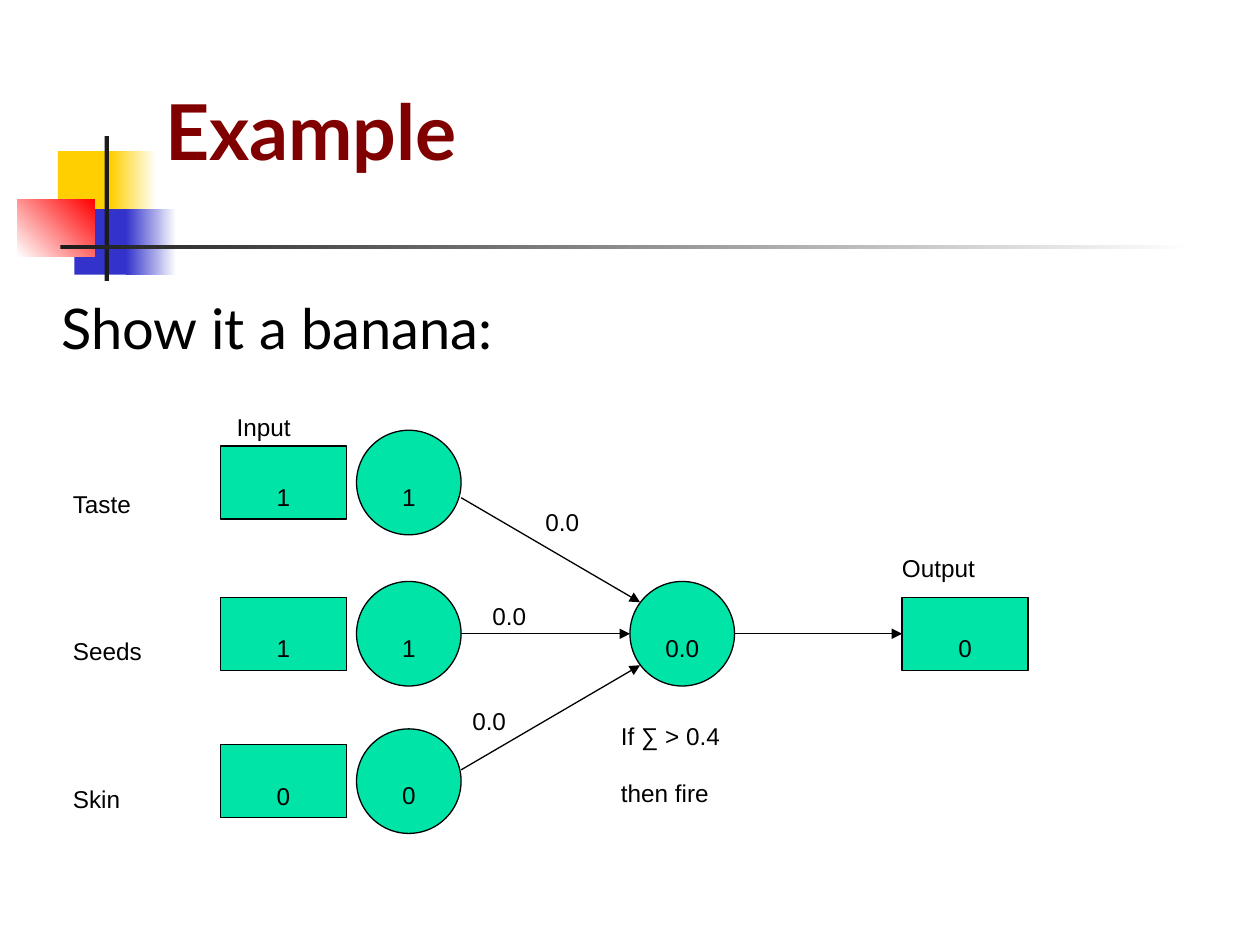
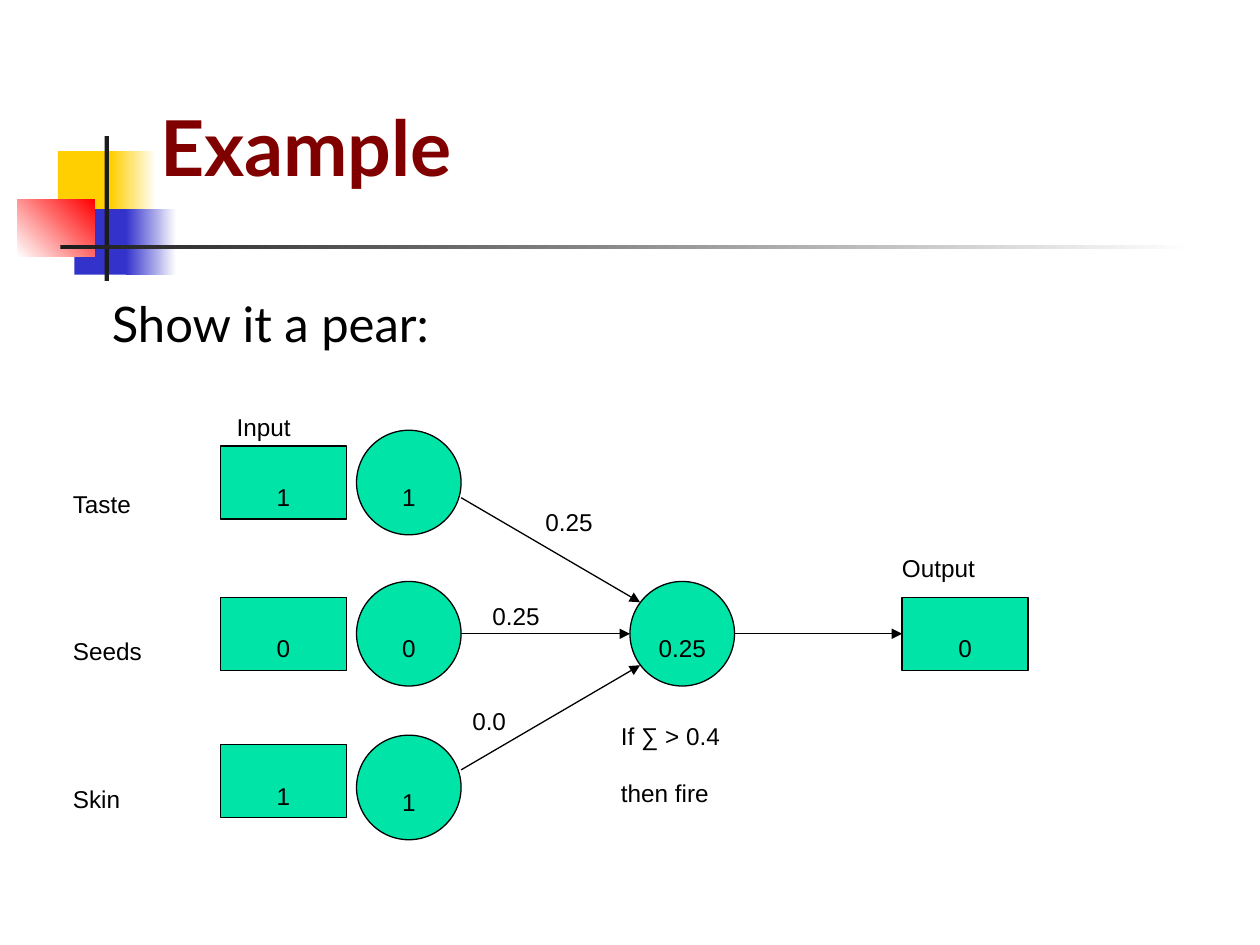
from dataclasses import dataclass

from lxml import etree
from pptx import Presentation
from pptx.dml.color import RGBColor
from pptx.enum.shapes import MSO_CONNECTOR, MSO_SHAPE
from pptx.enum.text import MSO_ANCHOR, MSO_AUTO_SIZE, PP_ALIGN
from pptx.oxml.ns import qn
from pptx.util import Inches, Pt

RECTANGLE, OVAL = MSO_SHAPE.RECTANGLE, MSO_SHAPE.OVAL
STRAIGHT = MSO_CONNECTOR.STRAIGHT
TOP, MIDDLE = MSO_ANCHOR.TOP, MSO_ANCHOR.MIDDLE
CENTER = PP_ALIGN.CENTER
FIT_SHAPE = MSO_AUTO_SIZE.SHAPE_TO_FIT_TEXT
LEFT_SIDE = 1

SLIDE_WIDTH, SLIDE_HEIGHT = Inches(10), Inches(7.5)
COLUMNS = 100
CELL = SLIDE_WIDTH // COLUMNS


@dataclass(frozen=True)
class Theme:
    """Colours, fonts and type sizes of the deck."""
    title: str = "800000"
    ink: str = "000000"
    node: str = "00E4A8"
    yellow: str = "FFCF01"
    blue: str = "3333CC"
    red: str = "FF0000"
    rule: str = "1C1C1C"
    paper: str = "FFFFFF"
    heading_font: str = "Lato"
    label_font: str = "Arial"
    title_size: int = 44
    label_size: int = 24
    line_width: float = 0.75


THEME = Theme()


@dataclass(frozen=True)
class Box:
    """A rectangle measured in grid cells."""
    column: float
    row: float
    columns: float
    rows: float

    def inside(self, column, row, columns, rows):
        """Return a box placed from this box's top left corner."""
        return Box(self.column + column, self.row + row, columns, rows)

    def lengths(self):
        """Return left, top, width and height as slide lengths."""
        return [round(cells * CELL)
                for cells in (self.column, self.row, self.columns, self.rows)]


TITLE = Box(12.6, 2.3, 85.2, 16)
ORNAMENT = Box(1.4, 10.8, 93.4, 11.5)
DIAGRAM = Box(0, 30, 100, 45)


@dataclass(frozen=True)
class Example:
    """What one example slide says and where its text stands."""
    title_box: Box
    prompt: str
    prompt_box: Box
    prompt_size: int
    inputs: tuple
    weights: tuple
    total: str
    output: str
    skin_drop: float = 0


EXAMPLES = (
    Example(TITLE, "Show it a banana:", Box(3.5, 22.8, 89, 40.8), 32,
            ("1", "1", "0"), ("0.0", "0.0", "0.0"), "0.0", "0"),
    Example(TITLE.inside(-0.4, 1.3, 85.2, 16), "Show it a pear:",
            Box(7.5, 22.8, 90, 47.1), 28,
            ("1", "0", "1"), ("0.25", "0.25", "0.0"), "0.25", "0", 0.5),
)


def color(code):
    """Turn a hex code into a colour."""
    return RGBColor.from_string(code)


def write_heading(page, box, text, size, tint, anchor, bold=False, inset=0.1):
    """Write one line in the heading font."""
    frame = page.shapes.add_textbox(*box.lengths()).text_frame
    frame.word_wrap = True
    frame.vertical_anchor = anchor
    frame.margin_left = frame.margin_right = Inches(inset)
    para = frame.paragraphs[0]
    para.text = text
    para.font.name, para.font.size = THEME.heading_font, Pt(size)
    para.font.bold = bold
    para.font.color.rgb = color(tint)
    return para


def write_labels(frame, lines, alignment=None):
    """Write lowered label text, one paragraph a line."""
    frame.word_wrap = False
    frame.text = "\n".join(lines)
    for para in frame.paragraphs:
        para.alignment = alignment
        para.font.name, para.font.size = THEME.label_font, Pt(THEME.label_size)
        para.font.color.rgb = color(THEME.ink)
        for span in para.runs:
            span.font.size = Pt(THEME.label_size)
            span._r.get_or_add_rPr().set("baseline", "-25000")


def add_label(page, box, *lines):
    """Add a free label that grows with its text."""
    frame = page.shapes.add_textbox(*box.lengths()).text_frame
    write_labels(frame, lines)
    frame.auto_size = FIT_SHAPE


def add_node(page, kind, box, text):
    """Add an outlined node with a centred value."""
    node = page.shapes.add_shape(kind, *box.lengths())
    node.shadow.inherit = False
    node.fill.solid()
    node.fill.fore_color.rgb = color(THEME.node)
    node.line.color.rgb = color(THEME.ink)
    node.line.width = Pt(THEME.line_width)
    node.text_frame.vertical_anchor = MIDDLE
    write_labels(node.text_frame, [text], CENTER)
    return node


def add_arrow(page, box, start, end):
    """Draw an arrow between two points given as cells of the box."""
    points = [round(cells * CELL) for column, row in (start, end)
              for cells in (box.column + column, box.row + row)]
    arrow = page.shapes.add_connector(STRAIGHT, *points)
    arrow.line.color.rgb = color(THEME.ink)
    arrow.line.width = Pt(THEME.line_width)
    etree.SubElement(arrow.line._get_or_add_ln(), qn("a:tailEnd"), type="triangle")
    etree.SubElement(arrow._element.spPr, qn("a:effectLst"))
    return arrow


def draw_ornament(page, box):
    """Draw the coloured squares and the crossing rules."""
    parts = (
        ((3.2, 1.2, 4.8, 5.2), [THEME.yellow], 0),
        ((7.4, 1.2, 3.6, 5.2), [THEME.yellow, THEME.paper], 0),
        ((4.5, 5.8, 4.6, 5.2), [THEME.blue], 0),
        ((8.6, 5.8, 4, 5.2), [THEME.blue, THEME.paper], 0),
        ((0, 5, 6.1, 4.6), [THEME.paper, THEME.red], 45),
        ((6.9, 0, 0.35, 11.5), [THEME.rule], 0),
        ((3.4, 8.65, 90, 0.35), [THEME.rule, THEME.paper], 0),
    )
    for place, tints, angle in parts:
        part = page.shapes.add_shape(RECTANGLE, *box.inside(*place).lengths())
        part.shadow.inherit = False
        part.line.fill.background()
        if len(tints) == 1:
            part.fill.solid()
            part.fill.fore_color.rgb = color(tints[0])
        else:
            part.fill.gradient()
            part.fill.gradient_angle = angle
            for stop, tint in zip(part.fill.gradient_stops, tints):
                stop.color.rgb = color(tint)


def draw_inputs(page, box, example):
    """Draw the named inputs, each with its box and its neuron."""
    add_label(page, box.inside(17.8, 0, 9.4, 5), "Input")
    names = (("Taste", 10.3), ("Seeds", 11.5), ("Skin", 8.5))
    centers = (8.3, 20.3, 32)
    drops = (0, 0, example.skin_drop)
    rows = zip(names, centers, drops, example.inputs)
    for index, ((name, width), center, drop, value) in enumerate(rows):
        add_label(page, box.inside(4.8, 6.1 + 11.7 * index, width, 5), name)
        add_node(page, RECTANGLE, box.inside(17.5, center - 2.9, 10, 5.8), value)
        add_node(page, OVAL, box.inside(28.3, center - 4.15 + drop, 8.3, 8.3), value)


def draw_network(page, box, example):
    """Draw the inputs, weighted arrows, summing neuron and output."""
    axis = 20.3
    draw_inputs(page, box, example)
    add_node(page, OVAL, box.inside(50, axis - 4.15, 8.3, 8.3), example.total)
    weight_places = ((42.3, 7.5), (38.1, 15), (36.5, 23.3))
    for side, place, weight in zip((-1, 0, 1), weight_places, example.weights):
        add_arrow(page, box, (36.6, axis + 10.8 * side),
                  (50 + 0.8 * abs(side), axis + 2.5 * side))
        add_label(page, box.inside(*place, 0.9 + 1.9 * len(weight), 5), weight)
    add_label(page, box.inside(48.3, 24.5, 13.7, 7), "If ∑ > 0.4", "then fire")
    add_label(page, box.inside(70.6, 11.2, 12, 5), "Output")
    output = add_node(page, RECTANGLE, box.inside(71.6, axis - 2.9, 10, 5.8),
                      example.output)
    arrow = add_arrow(page, box, (58.3, axis), (71.6, axis))
    arrow.end_connect(output, LEFT_SIDE)


def build_example(deck, example):
    """Add one example slide."""
    page = deck.slides.add_slide(deck.slide_layouts[6])
    draw_ornament(page, ORNAMENT)
    write_heading(page, example.title_box, "Example", THEME.title_size,
                  THEME.title, MIDDLE, bold=True, inset=0.05)
    prompt = write_heading(page, example.prompt_box, example.prompt,
                           example.prompt_size, THEME.ink, TOP)
    indent = prompt._p.get_or_add_pPr()
    indent.set("marL", str(Inches(0.46)))
    indent.set("indent", str(Inches(-0.42)))
    draw_network(page, DIAGRAM, example)


def main():
    """Build and save the deck."""
    deck = Presentation()
    deck.slide_width, deck.slide_height = SLIDE_WIDTH, SLIDE_HEIGHT
    for example in EXAMPLES:
        build_example(deck, example)
    deck.save("out.pptx")


if __name__ == "__main__":
    main()
